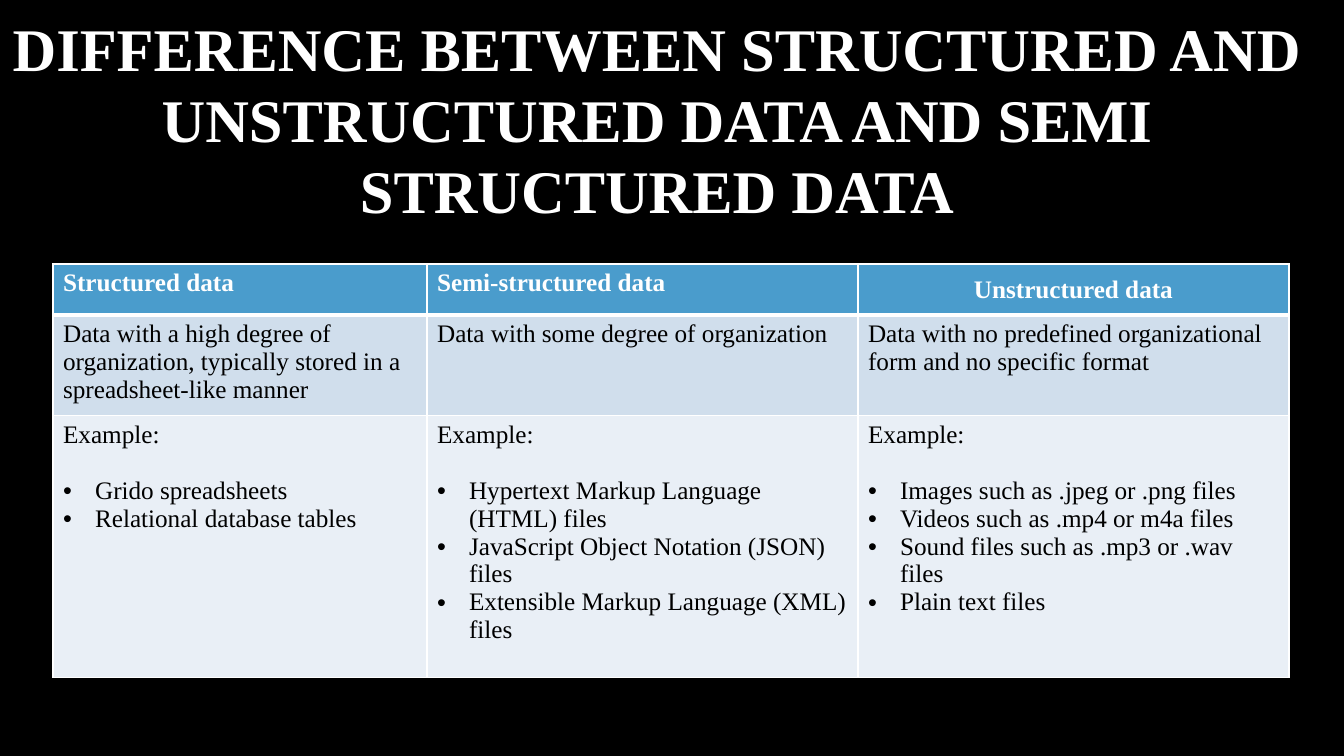
from dataclasses import dataclass

import lxml.etree
import pptx
import pptx.dml.color
import pptx.enum.text
import pptx.oxml.ns
import pptx.util

ALIGN = pptx.enum.text.PP_ALIGN
ANCHOR = pptx.enum.text.MSO_ANCHOR
qn = pptx.oxml.ns.qn


@dataclass(frozen=True)
class Theme:
    """Colours as RRGGBB, type sizes and line widths in points."""
    font: str = "Times New Roman"
    background: str = "000000"
    light: str = "FFFFFF"
    dark: str = "000000"
    row_fills: tuple = ("4A9CCC", "D0DEEC", "E9EFF6")
    title_size: float = 43.2
    body_size: int = 18
    list_gap: int = 20
    border: int = 1
    header_rule: int = 3


THEME = Theme()
TITLE = "DIFFERENCE BETWEEN STRUCTURED AND UNSTRUCTURED DATA AND SEMI STRUCTURED DATA"
COL_WIDTHS = (374, 431, 431)
ROW_HEIGHTS = (51, 96, 262)
KINDS = (
    ("Structured data",
     "Data with a high degree of organization, typically stored in a spreadsheet-like manner",
     ("Grido spreadsheets", "Relational database tables")),
    ("Semi-structured data",
     "Data with some degree of organization",
     ("Hypertext Markup Language (HTML) files",
      "JavaScript Object Notation (JSON) files",
      "Extensible Markup Language (XML) files")),
    ("Unstructured data",
     "Data with no predefined organizational form and no specific format",
     ("Images such as .jpeg or .png files", "Videos such as .mp4 or m4a files",
      "Sound files such as .mp3 or .wav files", "Plain text files")),
)


def px(n):
    """Turn pixels into EMU."""
    return pptx.util.Emu(round(n * 914400 / 100.8))


def rgb(value):
    """Return a colour from RRGGBB."""
    return pptx.dml.color.RGBColor.from_string(value)


def write(p, text, size=THEME.body_size, color=THEME.dark, bold=False,
          align=ALIGN.LEFT, line=None, before=0, bullet=False):
    """Write formatted text into a paragraph."""
    p.alignment = align
    p.space_before = pptx.util.Pt(before)
    if line:
        p.line_spacing = line
    if bullet:
        pPr = p._p.get_or_add_pPr()
        pPr.set("marL", str(px(32)))
        pPr.set("indent", str(-px(32)))
        lxml.etree.SubElement(pPr, qn("a:buFont"), typeface="Arial")
        lxml.etree.SubElement(pPr, qn("a:buChar"), char="•")
    r = p.add_run()
    r.text = text
    r.font.name = THEME.font
    r.font.size = pptx.util.Pt(size)
    r.font.bold = bold
    r.font.color.rgb = rgb(color)


def style_cell(cell, row):
    """Fill a cell and draw its four borders."""
    cell.fill.solid()
    cell.fill.fore_color.rgb = rgb(THEME.row_fills[row])
    heavy = {(0, "B"), (1, "T")}
    tcPr = cell._tc.get_or_add_tcPr()
    for i, side in enumerate("LRTB"):
        width = THEME.header_rule if (row, side) in heavy else THEME.border
        ln = lxml.etree.Element(qn(f"a:ln{side}"), w=str(pptx.util.Pt(width)))
        fill = lxml.etree.SubElement(ln, qn("a:solidFill"))
        lxml.etree.SubElement(fill, qn("a:srgbClr"), val=THEME.light)
        tcPr.insert(i, ln)


def add_title(s, x, y, w, h):
    """Place the heading at the bottom of its box."""
    tf = s.shapes.add_textbox(px(x), px(y), px(w), px(h)).text_frame
    tf.word_wrap = True
    tf.vertical_anchor = ANCHOR.BOTTOM
    write(tf.paragraphs[0], TITLE, size=THEME.title_size, color=THEME.light,
          bold=True, align=ALIGN.CENTER, line=0.98)


def add_comparison(s, x, y):
    """Place the table with one column for each kind of data."""
    table = s.shapes.add_table(len(ROW_HEIGHTS), len(KINDS), px(x), px(y),
                               px(sum(COL_WIDTHS)), px(sum(ROW_HEIGHTS))).table
    for row, height in zip(table.rows, ROW_HEIGHTS):
        row.height = px(height)
    for col, (width, (name, meaning, examples)) in enumerate(zip(COL_WIDTHS, KINDS)):
        table.columns[col].width = px(width)
        head, body, sample = (table.cell(row, col) for row in range(len(ROW_HEIGHTS)))
        for row, cell in enumerate((head, body, sample)):
            style_cell(cell, row)
        last = col == len(KINDS) - 1
        head.vertical_anchor = ANCHOR.MIDDLE if last else ANCHOR.TOP
        write(head.text_frame.paragraphs[0], name, color=THEME.light, bold=True,
              align=ALIGN.CENTER if last else ALIGN.LEFT)
        write(body.text_frame.paragraphs[0], meaning)
        tf = sample.text_frame
        write(tf.paragraphs[0], "Example:")
        for i, example in enumerate(examples):
            write(tf.add_paragraph(), example, bullet=True,
                  before=0 if i else THEME.list_gap)


def main():
    """Build and save the slide."""
    prs = pptx.Presentation()
    prs.slide_width, prs.slide_height = px(1344), px(756)
    s = prs.slides.add_slide(prs.slide_layouts[6])
    s.background.fill.solid()
    s.background.fill.fore_color.rgb = rgb(THEME.background)
    add_title(s, 0, 12, 1314, 221)
    add_comparison(s, 53, 264)
    prs.save("out.pptx")


if __name__ == "__main__":
    main()
